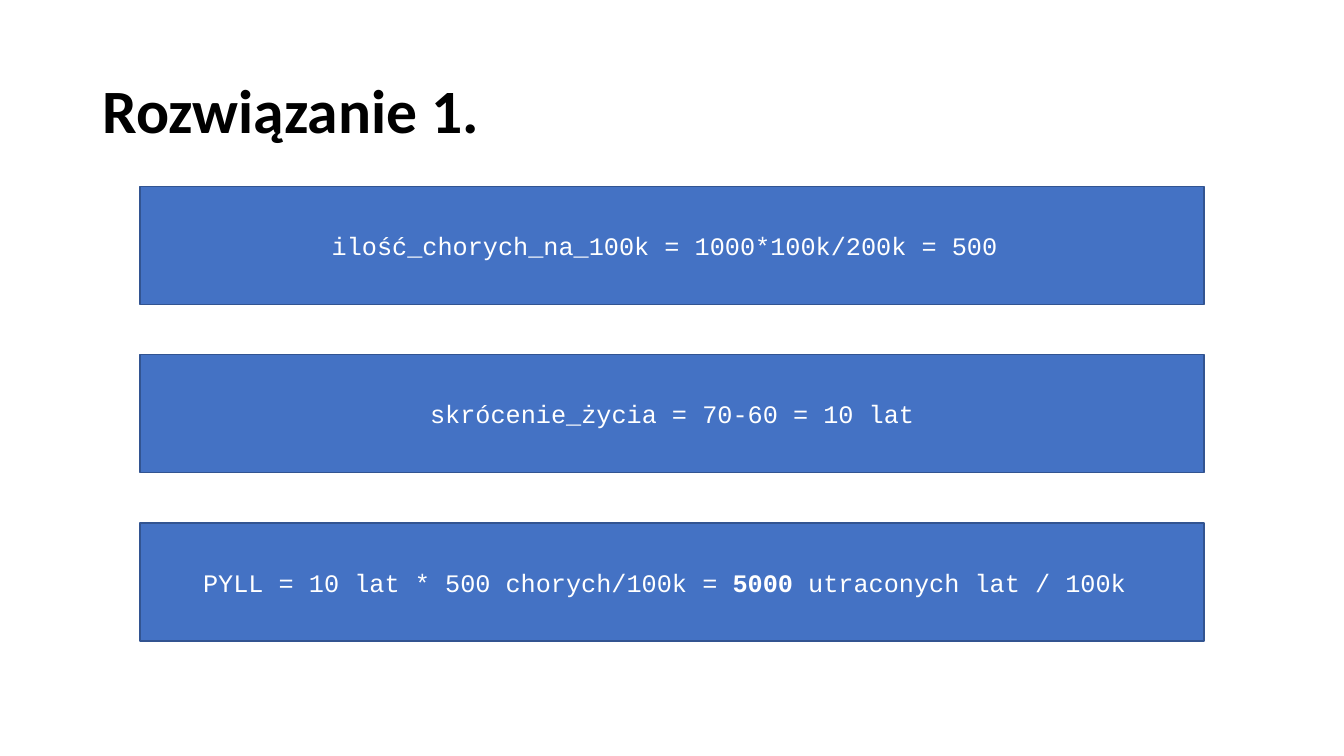
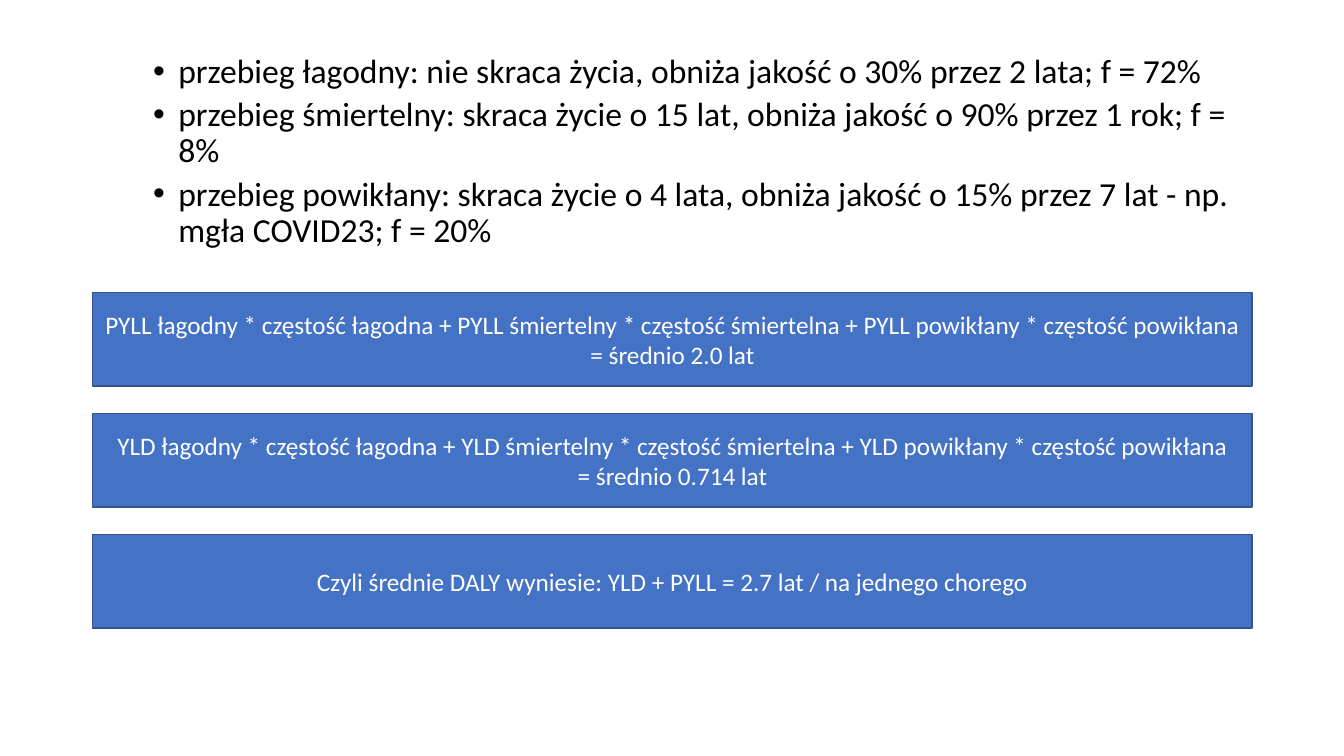
from lxml.etree import SubElement
from pptx import Presentation
from pptx.dml.color import RGBColor
from pptx.enum.shapes import MSO_SHAPE
from pptx.enum.text import MSO_ANCHOR, PP_ALIGN
from pptx.oxml.ns import qn
from pptx.util import Emu, Pt

PX = 9144  # EMU per px, 100 px to the inch
BLACK = RGBColor(0x00, 0x00, 0x00)
WHITE = RGBColor(0xFF, 0xFF, 0xFF)
BLUE = RGBColor(0x44, 0x72, 0xC4)
DARK_BLUE = RGBColor(0x32, 0x54, 0x91)
BODY_FONT = "Calibri"
CODE_FONT = "Courier New"
LEFT, WIDTH = 92, 1150

TITLE = "Rozwiązanie 1."
# Each box is a list of paragraphs, each paragraph a list of (text, bold) runs.
SOLUTION_STEPS = [
    [[("ilość_chorych_na_100k = 1000*100k/200k = 500 ", False)]],
    [[("skrócenie_życia = 70-60 = 10 lat", False)]],
    [[("PYLL = 10 lat * 500 chorych/100k = ", False),
      ("5000 ", True),
      ("utraconych lat / 100k ", False)]],
]
DISEASE_COURSES = [
    "przebieg łagodny: nie skraca życia, obniża jakość o 30% przez 2 lata; f = 72%",
    "przebieg śmiertelny: skraca życie o 15 lat, obniża jakość o 90% przez 1 rok; f = 8%",
    "przebieg powikłany: skraca życie o 4 lata, obniża jakość o 15% przez 7 lat"
    " - np. mgła COVID23; f = 20%",
]
DALY_STEPS = [
    [[("PYLL łagodny * częstość łagodna + PYLL śmiertelny * częstość śmiertelna"
       " + PYLL powikłany * częstość powikłana", False)],
     [("= średnio 2.0 lat", False)]],
    [[("YLD łagodny * częstość łagodna + YLD śmiertelny * częstość śmiertelna"
       " + YLD powikłany * częstość powikłana", False)],
     [("= średnio 0.714 lat", False)]],
    [[("Czyli średnie DALY wyniesie: YLD + PYLL = 2.7 lat / na jednego chorego", False)]],
]


def px(*lengths):
    return [Emu(length * PX) for length in lengths]


def add_run(paragraph, text, font_name, size, color, bold=False):
    run = paragraph.add_run()
    run.text = text
    run.font.name = font_name
    run.font.size = Pt(size)
    run.font.bold = bold
    run.font.color.rgb = color


def add_paragraphs(text_frame, count):
    """Return count paragraphs, the first being the one already there."""
    return [text_frame.paragraphs[0]] + [text_frame.add_paragraph() for _ in range(count - 1)]


def add_text_box(slide, top, height, anchor):
    text_frame = slide.shapes.add_textbox(*px(LEFT, top, WIDTH, height)).text_frame
    text_frame.word_wrap = True
    text_frame.vertical_anchor = anchor
    return text_frame


def add_title(slide, text):
    paragraph = add_text_box(slide, 40, 145, MSO_ANCHOR.MIDDLE).paragraphs[0]
    paragraph.line_spacing = 0.9
    add_run(paragraph, text, BODY_FONT, 44, BLACK, bold=True)


def add_bullets(slide, items):
    text_frame = add_text_box(slide, 49, 214, MSO_ANCHOR.TOP)
    for paragraph, item in zip(add_paragraphs(text_frame, len(items)), items):
        paragraph.level = 1
        paragraph.line_spacing = 0.9
        paragraph.space_before = Pt(5)
        properties = paragraph._p.get_or_add_pPr()
        properties.set("marL", str(75 * PX))
        properties.set("indent", str(-25 * PX))
        SubElement(properties, qn("a:buFont")).set("typeface", "Arial")
        SubElement(properties, qn("a:buChar")).set("char", "•")
        add_run(paragraph, item, BODY_FONT, 24, BLACK)


def add_box_stack(slide, boxes, left, top, width, height, pitch, font_name):
    for index, paragraphs in enumerate(boxes):
        box = slide.shapes.add_shape(
            MSO_SHAPE.RECTANGLE, *px(left, top + index * pitch, width, height))
        box.shadow.inherit = False
        box.fill.solid()
        box.fill.fore_color.rgb = BLUE
        box.line.color.rgb = DARK_BLUE
        box.line.width = Pt(1)
        text_frame = box.text_frame
        text_frame.word_wrap = True
        text_frame.vertical_anchor = MSO_ANCHOR.MIDDLE
        for paragraph, runs in zip(add_paragraphs(text_frame, len(paragraphs)), paragraphs):
            paragraph.alignment = PP_ALIGN.CENTER
            for text, bold in runs:
                add_run(paragraph, text, font_name, 18, WHITE, bold)


def main():
    presentation = Presentation()
    presentation.slide_width, presentation.slide_height = px(1333, 750)
    blank = presentation.slide_layouts[6]

    solution = presentation.slides.add_slide(blank)
    add_title(solution, TITLE)
    add_box_stack(solution, SOLUTION_STEPS, left=139, top=185, width=1055, height=117,
                  pitch=167, font_name=CODE_FONT)

    daly = presentation.slides.add_slide(blank)
    add_bullets(daly, DISEASE_COURSES)
    add_box_stack(daly, DALY_STEPS, left=LEFT, top=290, width=WIDTH, height=93,
                  pitch=120, font_name=BODY_FONT)

    presentation.save("out.pptx")


if __name__ == "__main__":
    main()
